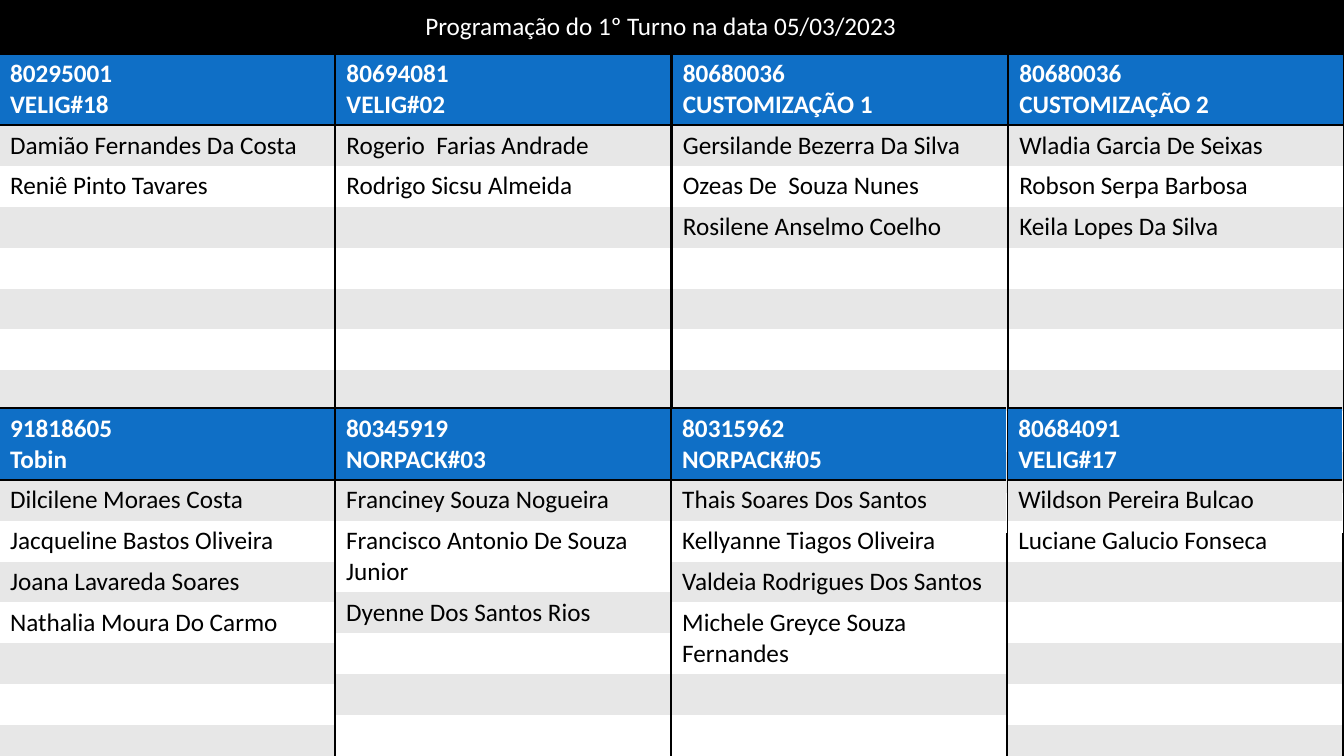
from dataclasses import dataclass

from lxml import etree
from pptx import Presentation
from pptx.dml.color import RGBColor
from pptx.enum.text import MSO_AUTO_SIZE
from pptx.oxml.ns import qn
from pptx.util import Inches, Pt


@dataclass(frozen=True)
class Theme:
    black: str = "000000"
    white: str = "FFFFFF"
    header: str = "0F6FC6"
    band: str = "E7E7E7"
    font: str = "Calibri"
    size: int = 18
    border: int = 2


THEME = Theme()
TABLE_WIDTH = 3.31
TABLE_HEIGHT = 3.45
NAME_ROWS = 10

SHIFT_ROWS = [
    (0.53, 10.01, [
        ("80295001", "VELIG#18", ["Damião Fernandes Da Costa", "Reniê Pinto Tavares"]),
        ("80694081", "VELIG#02", ["Rogerio\u00a0 Farias Andrade", "Rodrigo Sicsu Almeida"]),
        ("80680036", "CUSTOMIZAÇÃO 1", ["Gersilande Bezerra Da Silva", "Ozeas De\u00a0 Souza Nunes",
                                        "Rosilene Anselmo Coelho"]),
        ("80680036", "CUSTOMIZAÇÃO 2", ["Wladia Garcia De Seixas", "Robson Serpa Barbosa",
                                        "Keila Lopes Da Silva"]),
    ]),
    (4.05, 10.0, [
        ("91818605", "Tobin", ["Dilcilene Moraes Costa", "Jacqueline Bastos Oliveira",
                               "Joana Lavareda Soares", "Nathalia Moura Do Carmo"]),
        ("80345919", "NORPACK#03", ["Franciney Souza Nogueira", "Francisco Antonio De Souza Junior",
                                    "Dyenne Dos Santos Rios"]),
        ("80315962", "NORPACK#05", ["Thais Soares Dos Santos", "Kellyanne Tiagos Oliveira",
                                    "Valdeia Rodrigues Dos Santos", "Michele Greyce Souza Fernandes"]),
        ("80684091", "VELIG#17", ["Wildson Pereira Bulcao", "Luciane Galucio Fonseca"]),
    ]),
]


def style_text(frame, color, bold=False):
    for paragraph in frame.paragraphs:
        for font in [paragraph.font] + [run.font for run in paragraph.runs]:
            font.name = THEME.font
            font.size = Pt(THEME.size)
            font.bold = bold
            font.color.rgb = RGBColor.from_string(color)


def set_borders(cell, black_sides):
    properties = cell._tc.get_or_add_tcPr()
    for side in "LRTB":
        line = etree.SubElement(properties, qn(f"a:ln{side}"))
        if side in black_sides:
            line.set("w", str(Pt(THEME.border)))
            fill = etree.SubElement(line, qn("a:solidFill"))
            etree.SubElement(fill, qn("a:srgbClr"), val=THEME.black)
        else:
            etree.SubElement(line, qn("a:noFill"))


def fill_cell(cell, text, fill, color, bold=False, black_sides=""):
    set_borders(cell, black_sides)
    cell.fill.solid()
    cell.fill.fore_color.rgb = RGBColor.from_string(fill)
    cell.text = text
    style_text(cell.text_frame, color, bold)


def add_team_table(slide, left, top, code, machine, people):
    frame = slide.shapes.add_table(NAME_ROWS + 1, 1, Inches(left), Inches(top),
                                   Inches(TABLE_WIDTH), Inches(TABLE_HEIGHT))
    table = frame.table
    fill_cell(table.cell(0, 0), f"{code}\n{machine}", THEME.header, THEME.white, True, "TB")
    for row in range(1, NAME_ROWS + 1):
        name = people[row - 1] if row <= len(people) else ""
        fill = THEME.band if row % 2 else THEME.white
        sides = {1: "T", NAME_ROWS: "B"}.get(row, "")
        fill_cell(table.cell(row, 0), name, fill, THEME.black, black_sides=sides)


def add_title(slide, text):
    box = slide.shapes.add_textbox(Inches(4.12), Inches(0.05), Inches(5.11), Inches(0.4))
    frame = box.text_frame
    frame.text = text
    frame.word_wrap = False
    frame.auto_size = MSO_AUTO_SIZE.SHAPE_TO_FIT_TEXT
    style_text(frame, THEME.white)


def main():
    presentation = Presentation()
    presentation.slide_width = Inches(13.33)
    presentation.slide_height = Inches(7.5)
    slide = presentation.slides.add_slide(presentation.slide_layouts[6])
    slide.background.fill.solid()
    slide.background.fill.fore_color.rgb = RGBColor.from_string(THEME.black)
    for top, last_left, teams in SHIFT_ROWS:
        pitch = last_left / (len(teams) - 1)
        for column, team in enumerate(teams):
            add_team_table(slide, column * pitch, top, *team)
    add_title(slide, "Programação do 1º Turno na data 05/03/2023")
    presentation.save("out.pptx")


main()
